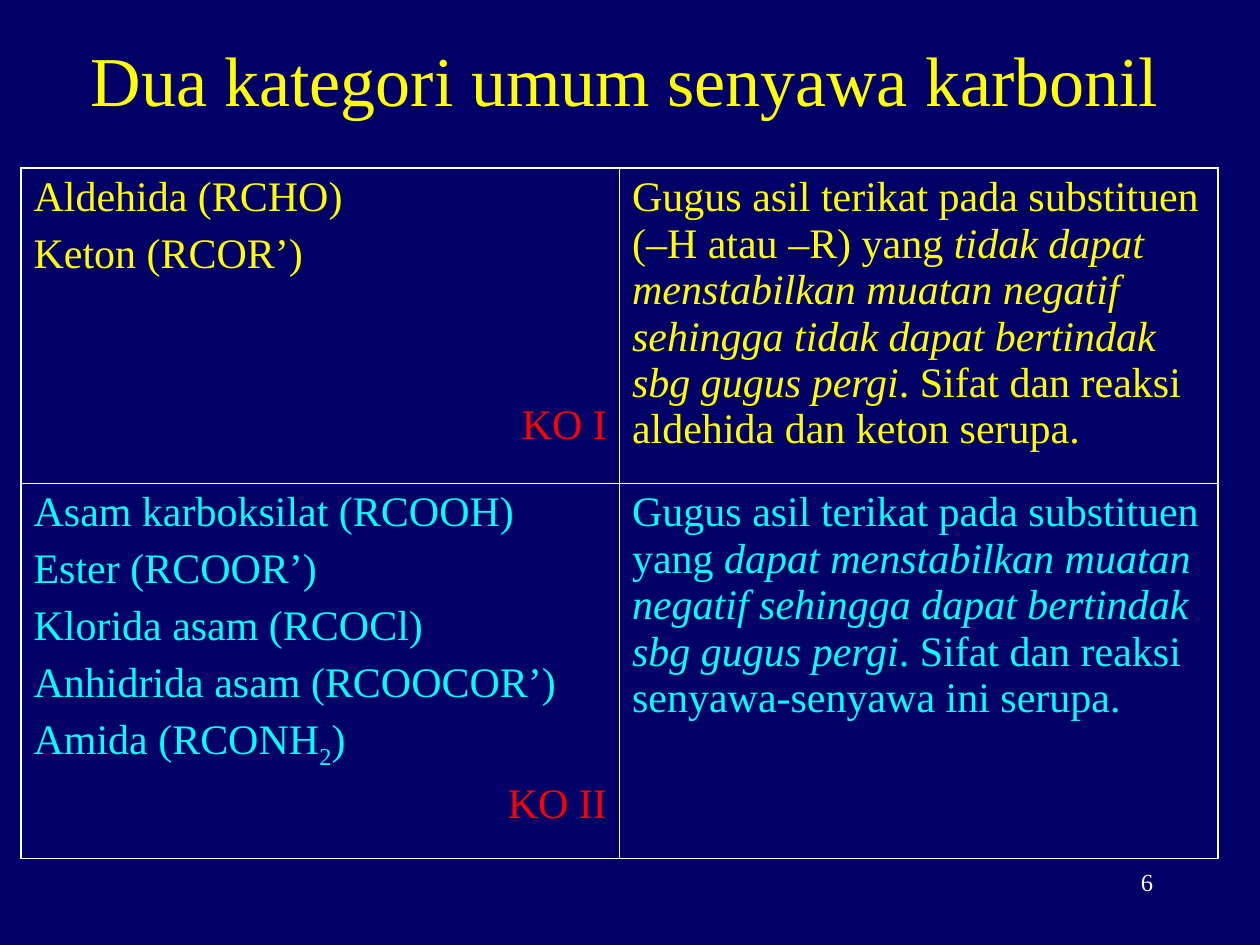
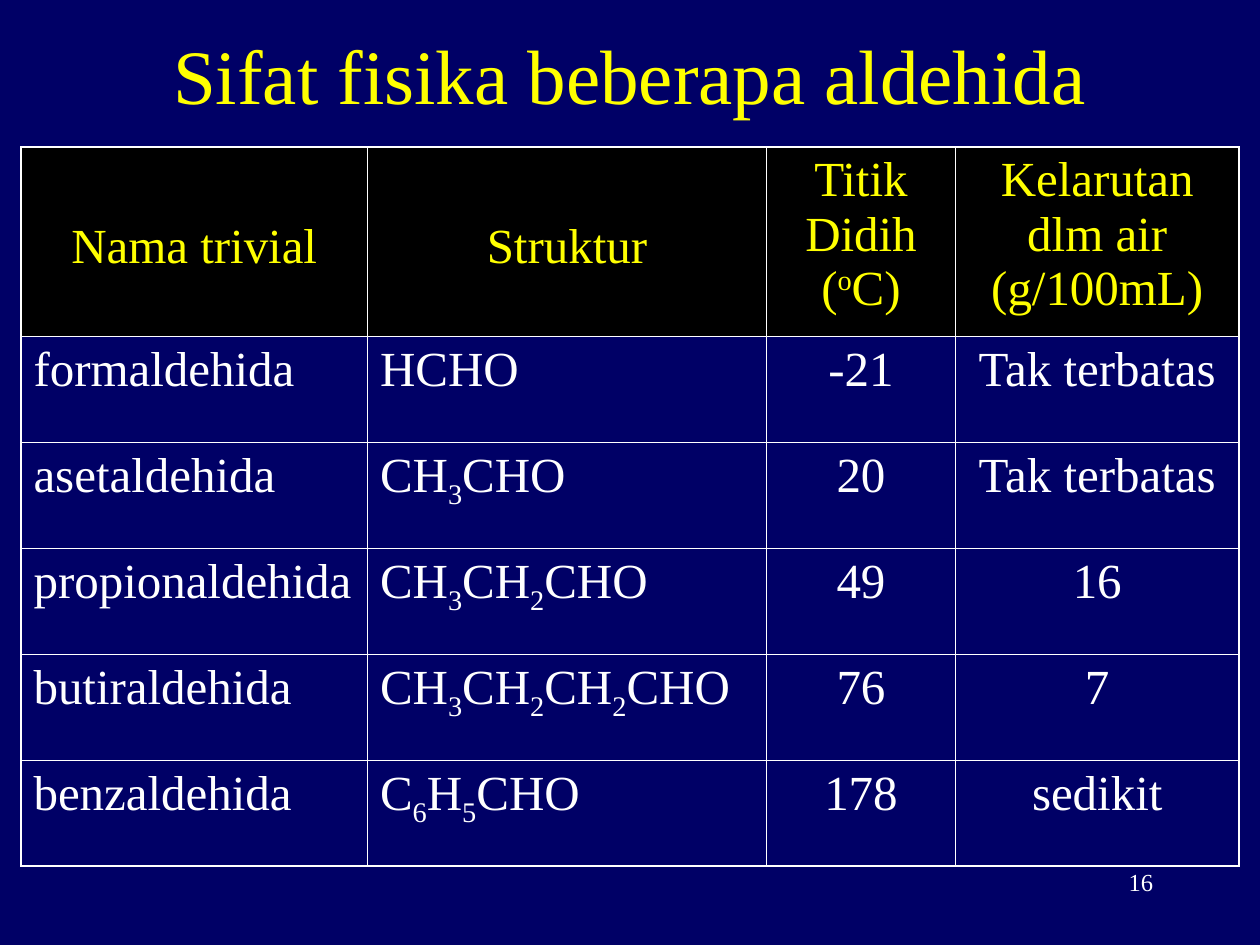
import pptx
import pptx.dml.color
import pptx.enum.text
import pptx.util
from lxml import etree

Pt = pptx.util.Pt
ALIGN = pptx.enum.text.PP_ALIGN
LEFT, CENTER, RIGHT = ALIGN.LEFT, ALIGN.CENTER, ALIGN.RIGHT

NAVY, BLACK, WHITE = "000066", "000000", "FFFFFF"
YELLOW, CYAN, RED = "FFFF00", "00FFFF", "FF0000"


def rgb(value):
    """Return the colour for a hex string."""
    return pptx.dml.color.RGBColor.from_string(value)


class Lecture:
    """Holds the shared style, the deck and the current slide."""

    font = "Times New Roman"
    baselines = {"_": "-25000", "^": "30000"}
    outer, inner = 1.08, 0.45

    def __init__(self):
        """Start a deck with a plain navy background."""
        self.deck = pptx.Presentation()
        self.deck.slide_width, self.deck.slide_height = Pt(720), Pt(540)
        fill = self.deck.slide_master.background.fill
        fill.solid()
        fill.fore_color.rgb = rgb(NAVY)

    def add_slide(self, title, box, size, number):
        """Add a slide with its title and its number."""
        self.slide = self.deck.slides.add_slide(self.deck.slide_layouts[5])
        heading = self.slide.shapes.title
        heading.left, heading.top, heading.width, heading.height = map(Pt, box)
        frame = heading.text_frame
        frame.auto_size = pptx.enum.text.MSO_AUTO_SIZE.NONE
        frame.vertical_anchor = pptx.enum.text.MSO_ANCHOR.MIDDLE
        frame.margin_top = frame.margin_bottom = 0
        self.set_lines(frame, [title], size, YELLOW, CENTER)
        footer = self.slide.shapes.add_textbox(Pt(516), Pt(492), Pt(150), Pt(36))
        footer.text_frame.word_wrap = True
        self.set_lines(footer.text_frame, [number], 14, WHITE, RIGHT)

    def set_lines(self, frame, lines, size, colour, align=LEFT, gap=0):
        """Set paragraphs whose spans, split by |, may start with _, ^ or *."""
        for index, line in enumerate(lines):
            para = frame.add_paragraph() if index else frame.paragraphs[0]
            self.format_line(para, line, size, colour, align, gap if index else 0)

    def format_line(self, para, line, size, colour, align, gap):
        """Fill one paragraph with formatted spans."""
        para.alignment, para.space_before = align, Pt(gap)
        for piece in line.split("|"):
            span = para.add_run()
            span.text = piece.lstrip("_^*")
            span.font.name, span.font.size = self.font, Pt(size)
            span.font.color.rgb = rgb(colour)
            if piece[0] == "*":
                span.font.italic = True
            elif piece[0] in self.baselines:
                span.font._element.set("baseline", self.baselines[piece[0]])

    def add_table(self, top, widths, heights):
        """Add an empty table with a heavier outer frame."""
        table = self.slide.shapes.add_table(
            len(heights), len(widths), Pt(12), Pt(top), Pt(sum(widths)), Pt(sum(heights))
        ).table
        table.first_row = table.horz_banding = False
        for column, width in zip(table.columns, widths):
            column.width = Pt(width)
        for row, height in zip(table.rows, heights):
            row.height = Pt(height)
        last_row, last_column = len(heights) - 1, len(widths) - 1
        for r, row in enumerate(table.rows):
            for c, cell in enumerate(row.cells):
                edges = {"L": c == 0, "R": c == last_column, "T": r == 0, "B": r == last_row}
                self.border(cell, edges)
                self.fill(cell, NAVY)
        return table

    def border(self, cell, edges):
        """Draw the four borders of a cell."""
        properties = cell._tc.get_or_add_tcPr()
        space = "{" + properties.nsmap["a"] + "}"
        for side, is_outer in edges.items():
            width = Pt(self.outer if is_outer else self.inner)
            line = etree.SubElement(properties, f"{space}ln{side}", w=str(int(width)))
            solid = etree.SubElement(line, f"{space}solidFill")
            etree.SubElement(solid, f"{space}srgbClr", val=WHITE)

    def fill(self, cell, colour):
        """Fill a cell with one colour."""
        cell.fill.solid()
        cell.fill.fore_color.rgb = rgb(colour)

    def add_tag(self, cell, text, gap):
        """Add a red tag at the right, below the text of a cell."""
        self.format_line(cell.text_frame.add_paragraph(), text, 24, RED, RIGHT, gap)


def add_categories(lecture):
    """Build the slide on the two kinds of carbonyl compounds."""
    lecture.add_slide("Dua kategori umum senyawa karbonil", (18, 0, 678, 90), 40, "6")
    table = lecture.add_table(96, [342, 342], [180, 214.5])
    categories = [
        (YELLOW, ["Aldehida (RCHO)", "Keton (RCOR’)"],
         "Gugus asil terikat pada substituen (–H atau –R) yang |*tidak dapat menstabilkan "
         "muatan negatif sehingga tidak dapat bertindak sbg gugus pergi|"
         ". Sifat dan reaksi aldehida dan keton serupa.", "KO I", 71),
        (CYAN, ["Asam karboksilat (RCOOH)", "Ester (RCOOR’)", "Klorida asam (RCOCl)",
                "Anhidrida asam (RCOOCOR’)", "Amida (RCONH|_2|)"],
         "Gugus asil terikat pada substituen yang |*dapat menstabilkan muatan negatif "
         "sehingga dapat bertindak sbg gugus pergi|"
         ". Sifat dan reaksi senyawa-senyawa ini serupa.", "KO II", 6),
    ]
    for row, (colour, compounds, meaning, tag, gap) in zip(table.rows, categories):
        members, description = row.cells
        lecture.set_lines(members.text_frame, compounds, 24, colour, gap=6)
        lecture.add_tag(members, tag, gap)
        lecture.set_lines(description.text_frame, [meaning], 24, colour)


def add_properties(lecture):
    """Build the slide on the physical properties of aldehydes."""
    lecture.add_slide("Sifat fisika beberapa aldehida", (54, 18, 612, 48), 44, "16")
    headers = ["Nama trivial", "Struktur", "Titik Didih (|^o|C)", "Kelarutan dlm air (g/100mL)"]
    aldehydes = [
        ["formaldehida", "HCHO", "-21", "Tak terbatas"],
        ["asetaldehida", "CH|_3|CHO", "20", "Tak terbatas"],
        ["propionaldehida", "CH|_3|CH|_2|CHO", "49", "16"],
        ["butiraldehida", "CH|_3|CH|_2|CH|_2|CHO", "76", "7"],
        ["benzaldehida", "C|_6|H|_5|CHO", "178", "sedikit"],
    ]
    table = lecture.add_table(84, [198, 228, 108, 162], [108] + [60.6] * len(aldehydes))
    for c, header in enumerate(headers):
        cell = table.cell(0, c)
        lecture.fill(cell, BLACK)
        if c < 2:
            cell.margin_top = Pt(41.6)
        lecture.set_lines(cell.text_frame, [header], 28, YELLOW, CENTER)
        for r, aldehyde in enumerate(aldehydes, 1):
            align = LEFT if c < 2 else CENTER
            lecture.set_lines(table.cell(r, c).text_frame, [aldehyde[c]], 28, WHITE, align)


def main():
    """Build both slides and save the deck."""
    lecture = Lecture()
    add_categories(lecture)
    add_properties(lecture)
    lecture.deck.save("out.pptx")


if __name__ == "__main__":
    main()
